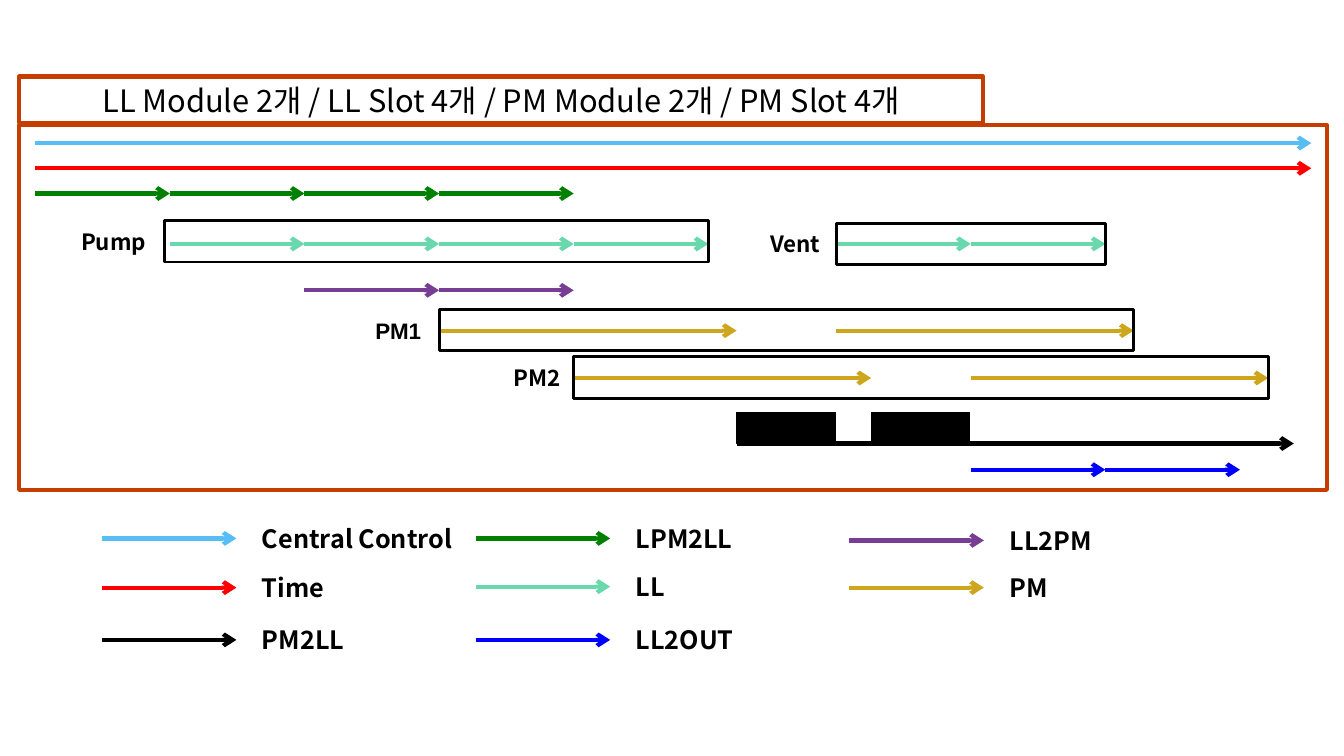
import pptx
import pptx.dml.color
import pptx.enum.shapes
import pptx.enum.text
import pptx.oxml.ns
import pptx.util
from lxml import etree

RGBColor = pptx.dml.color.RGBColor
Inches = pptx.util.Inches
Pt = pptx.util.Pt
ALIGN = pptx.enum.text.PP_ALIGN
qn = pptx.oxml.ns.qn

SKY = RGBColor(0x58, 0xBC, 0xF5)
RED = RGBColor(0xFF, 0x00, 0x00)
GREEN = RGBColor(0x00, 0x80, 0x00)
MINT = RGBColor(0x69, 0xD8, 0xAD)
PURPLE = RGBColor(0x78, 0x3E, 0x94)
GOLD = RGBColor(0xCE, 0xA6, 0x1D)
BLUE = RGBColor(0x00, 0x00, 0xFF)
BLACK = RGBColor(0x00, 0x00, 0x00)
RUST = RGBColor(0xC6, 0x3D, 0x00)

SANS = "Noto Sans CJK KR"
STEP, ROW = 1.335, 0.25
PM_TIME = 2.21
VENT = 5.95
FRAME_H = 0.41

ARROWS = [
    (0, SKY, [(0, 9.48)]),
    (1, RED, [(0, 9.48)]),
    (2, GREEN, [(n, n + 1) for n in range(4)]),
    (4, MINT, [(n, n + 1) for n in (1, 2, 3, 4, VENT, VENT + 1)]),
    (5.84, PURPLE, [(2, 3), (3, 4)]),
    (7.44, GOLD, [(n, n + PM_TIME) for n in (3, VENT)]),
    (9.32, GOLD, [(n, n + PM_TIME) for n in (4, VENT + 1)]),
    (11.92, BLACK, [(3 + PM_TIME, 9.35)]),
    (12.96, BLUE, [(VENT + 1, VENT + 2), (VENT + 2, VENT + 3)]),
]
FRAMES = [
    ("Pump", 3.9, 0.96, 5, 1.01, SANS),
    ("Vent", 4, VENT, VENT + 2, 0.81, SANS),
    ("PM1", 7.42, 3, VENT + PM_TIME, 0.81, "Arial"),
    ("PM2", 9.3, 4, VENT + 1 + PM_TIME, 0.72, SANS),
]
LEGEND = [
    ("Central Control", SKY, 0, 0), ("Time", RED, 0, 0.97), ("PM2LL", BLACK, 0, 2),
    ("LPM2LL", GREEN, 1, 0), ("LL", MINT, 1, 0.95), ("LL2OUT", BLUE, 1, 2),
    ("LL2PM", PURPLE, 2, 0.04), ("PM", GOLD, 2, 0.97),
]


def add_arrow(slide, x1, x2, y, color):
    """Draw a horizontal arrow from x1 to x2."""
    line = slide.shapes.add_connector(
        pptx.enum.shapes.MSO_CONNECTOR.STRAIGHT,
        Inches(x1), Inches(y), Inches(x2), Inches(y))
    line.line.color.rgb = color
    line.line.width = Pt(3)
    etree.SubElement(line.line._get_or_add_ln(), qn("a:tailEnd"), type="arrow")
    etree.SubElement(line._element.spPr, qn("a:effectLst"))


def add_rect(slide, box, color, width, fill=None):
    """Draw an outlined rectangle, filled when a fill is given."""
    sp = slide.shapes.add_shape(
        pptx.enum.shapes.MSO_SHAPE.RECTANGLE, *map(Inches, box))
    sp.shadow.inherit = False
    sp.line.color.rgb = color
    sp.line.width = Pt(width)
    if fill is None:
        sp.fill.background()
    else:
        sp.fill.solid()
        sp.fill.fore_color.rgb = fill
    return sp


def set_text(sp, text, size, align, bold=True, font=SANS):
    """Write one vertically centred line of text in a shape."""
    tf = sp.text_frame
    tf.text = text
    tf.word_wrap = True
    tf.margin_top = tf.margin_bottom = 0
    tf.vertical_anchor = pptx.enum.text.MSO_ANCHOR.MIDDLE
    p = tf.paragraphs[0]
    p.alignment = align
    r = p.runs[0]
    r.font.size = Pt(size)
    r.font.bold = bold
    r.font.name = font
    r.font.color.rgb = BLACK
    etree.SubElement(r.font._element, qn("a:ea"), typeface=font)


def add_label(slide, box, text, size, align, font=SANS):
    """Place a bold label in a text box."""
    sp = slide.shapes.add_textbox(*map(Inches, box))
    set_text(sp, text, size, align, font=font)


def draw_title(slide, box):
    """Draw the heading tab."""
    sp = add_rect(slide, box, RUST, 3)
    set_text(sp, "LL Module 2개 / LL Slot 4개 / PM Module 2개 / PM Slot 4개",
             22, ALIGN.CENTER, bold=False)


def draw_timeline(slide, box):
    """Draw the schedule of arrows, frames and transfer blocks."""
    add_rect(slide, box, RUST, 3)
    left, top = box[0] + 0.16, box[1] + 0.18
    for row, color, spans in ARROWS:
        for start, end in spans:
            add_arrow(slide, left + start * STEP, left + end * STEP,
                      top + row * ROW, color)
    for start in (3 + PM_TIME, 4 + PM_TIME):
        add_rect(slide, (left + start * STEP, top + 10.68 * ROW, 0.98, 0.31),
                 BLACK, 0.75, BLACK)
    for name, row, start, end, width, font in FRAMES:
        x, y = left + start * STEP, top + row * ROW - FRAME_H / 2
        add_rect(slide, (x, y, (end - start) * STEP, FRAME_H), BLACK, 2)
        add_label(slide, (x - width, y, width, FRAME_H), name, 16,
                  ALIGN.CENTER, font)


def draw_legend(slide, box):
    """Draw the colour key in three columns and three rows."""
    left, top, width, height = box
    for name, color, col, row in LEGEND:
        x = left + col * width / 3
        y = top + (row + 0.5) * height / 3
        add_arrow(slide, x, x + STEP, y, color)
        add_label(slide, (x + 1.49, y - 0.2, 2.21, 0.4), name, 18, ALIGN.LEFT)


def main():
    """Build the slide and save it."""
    prs = pptx.Presentation()
    prs.slide_width, prs.slide_height = Inches(13.33), Inches(7.5)
    slide = prs.slides.add_slide(prs.slide_layouts[6])
    draw_timeline(slide, (0.19, 1.24, 12.97, 3.62))
    draw_title(slide, (0.19, 0.76, 9.56, 0.46))
    draw_legend(slide, (1.01, 5.09, 11.12, 1.51))
    prs.save("out.pptx")


if __name__ == "__main__":
    main()
